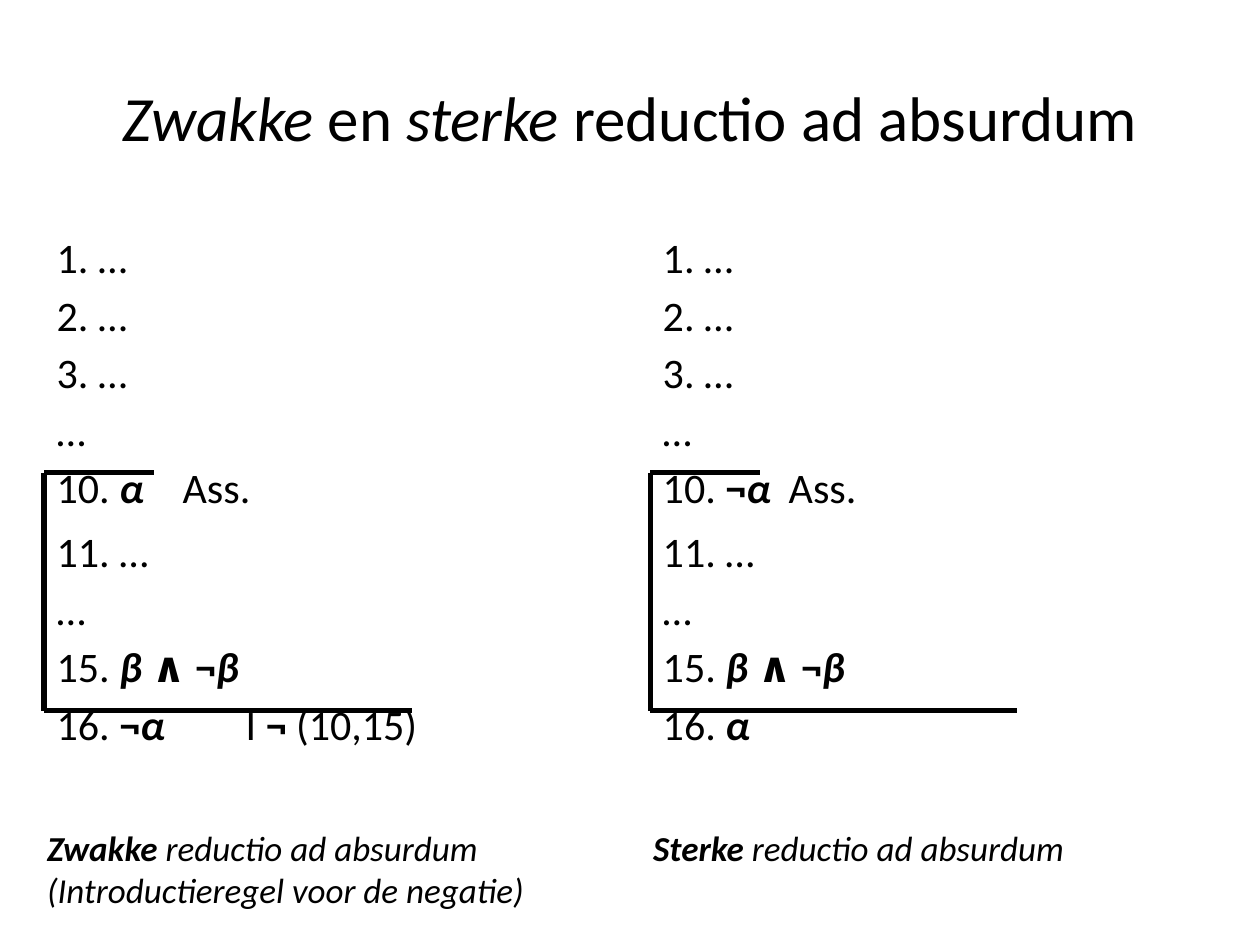
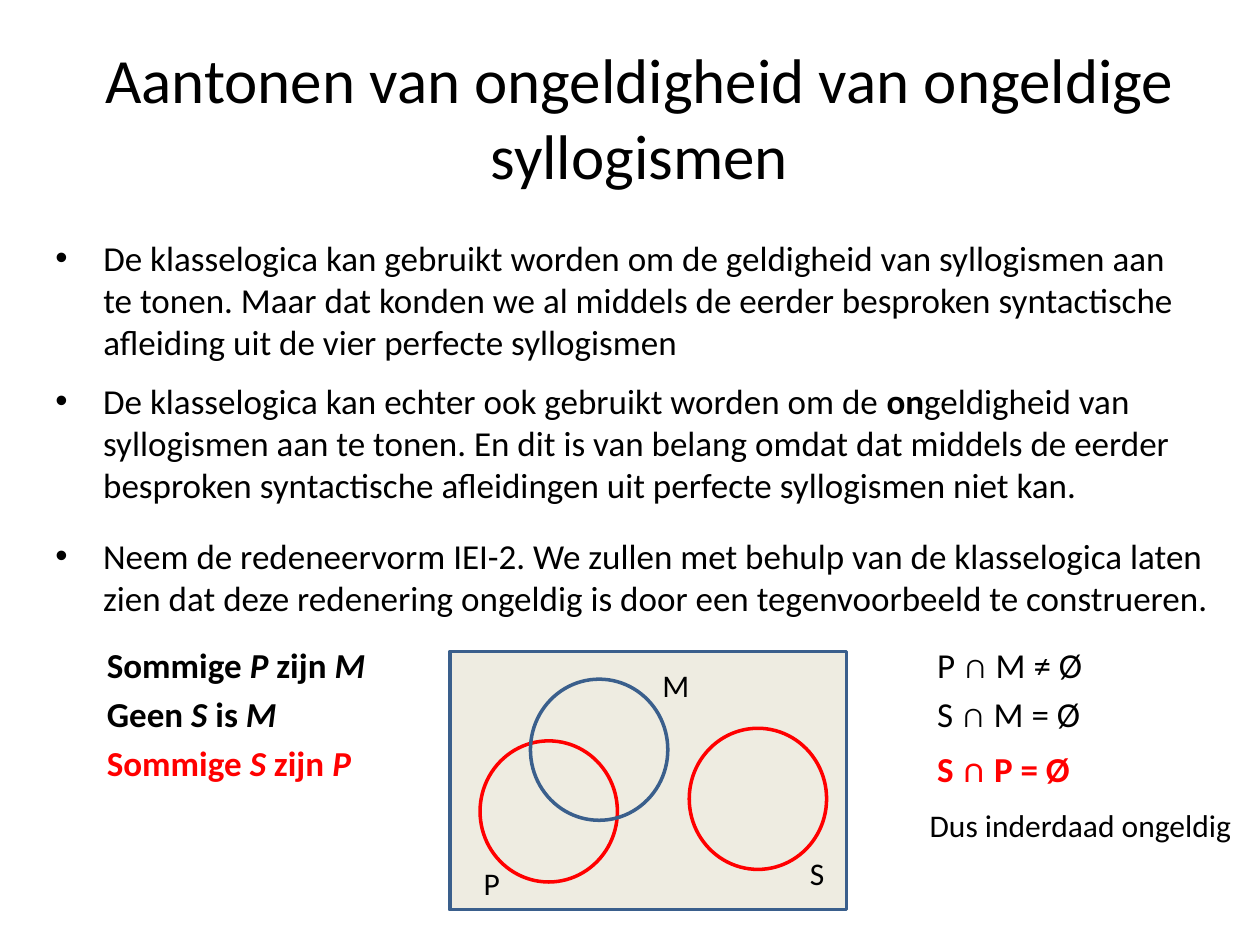
"""Build two logic slides: reductio ad absurdum and invalid syllogisms."""
from dataclasses import dataclass

from lxml.etree import SubElement
from pptx import Presentation
from pptx.dml.color import RGBColor
from pptx.enum.shapes import MSO_CONNECTOR as Connector, MSO_SHAPE as Shape
from pptx.enum.text import MSO_ANCHOR as Anchor, MSO_AUTO_SIZE as AutoSize, PP_ALIGN as Align
from pptx.oxml.ns import qn
from pptx.util import Inches, Pt


@dataclass(frozen=True)
class Theme:
    font: str = "Calibri"
    ink: RGBColor = RGBColor(0, 0, 0)
    red: RGBColor = RGBColor(0xFF, 0, 0)
    blue: RGBColor = RGBColor(0x3A, 0x5F, 0x8C)
    sand: RGBColor = RGBColor(0xEE, 0xEC, 0xE1)
    title: int = 36
    proof: int = 24
    body: int = 20
    label: int = 18
    gap: int = 4
    rule: int = 3
    outline: int = 2


theme = Theme()
deck = Presentation()
deck.slide_width, deck.slide_height = Inches(10), Inches(7.5)
COL, ROW = deck.slide_width / 100, deck.slide_height / 75


def cells(left, top, width, height):
    """Turn columns and rows of the 100 by 75 grid into lengths."""
    return [round(left * COL), round(top * ROW), round(width * COL), round(height * ROW)]


def write(frame, lines, size, gap=0, margin=0, hanging=0, bullet=False, tab=0, align=None):
    """Write lines of (text, style) runs; b is bold, i italic, r red, n a line break."""
    frame.word_wrap, frame.auto_size = True, AutoSize.NONE
    for number, line in enumerate(lines):
        paragraph = frame.paragraphs[0] if number == 0 else frame.add_paragraph()
        paragraph.alignment = align
        paragraph.space_before = Pt(gap)
        props = paragraph._p.get_or_add_pPr()
        props.set("marL", str(round(margin * COL)))
        props.set("indent", str(round(-hanging * COL)))
        if bullet:
            SubElement(props, qn("a:buFont"), typeface="Arial")
            SubElement(props, qn("a:buChar"), char="•")
        else:
            SubElement(props, qn("a:buNone"))
        if tab and any("\t" in text for text, _ in line):
            stops = SubElement(props, qn("a:tabLst"))
            for stop in (tab, tab + 4.3):
                SubElement(stops, qn("a:tab"), pos=str(round(stop * COL)), algn="l")
        for text, style in line:
            if "n" in style:
                paragraph.add_line_break()
            run = paragraph.add_run()
            run.text = text
            run.font.name, run.font.size = theme.font, Pt(size)
            run.font.bold, run.font.italic = "b" in style, "i" in style
            run.font.color.rgb = theme.red if "r" in style else theme.ink


titles = [
    (3, 90, [("Zwakke", "i"), (" en ", ""), ("sterke ", "i"), ("reductio ad absurdum", "")]),
    (1, 91.5, [("Aantonen van ongeldigheid van ongeldige syllogismen", "")]),
]
slides = []
for layout, width, heading in titles:
    slide = deck.slides.add_slide(deck.slide_layouts[layout])
    title = slide.shapes.title
    title.left, title.top, title.width, title.height = cells(5, 3, width, 12.5)
    title.text_frame.vertical_anchor = Anchor.MIDDLE
    write(title.text_frame, [heading], theme.title, align=Align.CENTER)
    slides.append(slide)
reductio, syllogism = slides

opening = [[("1. …", "")], [("2. …", "")], [("3. …", "")], [("…", "")]]
contradiction = [
    [("11. …", "")],
    [("…", "")],
    [("15. ", ""), ("β ", "bi"), ("∧ ¬", "b"), ("β", "bi")],
]
proofs = [
    (1, 3.5, 11.2, 29.2,
     [("10. ", ""), ("α", "bi"), ("\tAss.", "")],
     [("16. ", ""), ("¬", "b"), ("α", "bi"), ("\t\tI ", ""), ("¬", "b"), (" (10,15)", "")],
     [[("Zwakke ", "bi"), ("reductio ad absurdum", "i")],
      [("(Introductieregel voor de negatie)", "i")]]),
    (2, 51.6, 12.7, 29.1,
     [("10. ", ""), ("¬", "b"), ("α", "bi"), ("\tAss.", "")],
     [("16. ", ""), ("α", "bi")],
     [[("Sterke ", "bi"), ("reductio ad absurdum", "i")]]),
]
ASSUMED, CONCLUDED = 37.5, 56.4
for index, left, tab, reach, assumption, conclusion, caption in proofs:
    proof = reductio.placeholders[index]
    proof.left, proof.top, proof.width, proof.height = cells(left, 17.9, 48, 49.5)
    write(proof.text_frame, opening + [assumption] + contradiction + [conclusion],
          theme.proof, theme.gap, tab=tab)
    proof.text_frame.paragraphs[5].space_before = Pt(2 * theme.gap)
    for x1, y1, x2, y2 in [
        (left + 8.7, ASSUMED, left, ASSUMED),
        (left, ASSUMED, left, CONCLUDED),
        (left + reach, CONCLUDED, left, CONCLUDED),
    ]:
        bracket = reductio.shapes.add_connector(Connector.STRAIGHT, *cells(x1, y1, x2, y2))
        bracket.line.color.rgb, bracket.line.width = theme.ink, Pt(theme.rule)
        SubElement(bracket._element.spPr, qn("a:effectLst"))
    note = reductio.shapes.add_textbox(*cells(left - 0.75, 65.1, 40.2, 0.6 + 3.4 * len(caption)))
    write(note.text_frame, caption, theme.body)

points = [
    (18.3, 12.1, [
        ("De klasselogica kan gebruikt worden om de geldigheid van syllogismen aan", ""),
        ("te tonen. Maar dat konden we al middels de eerder besproken syntactische "
         "afleiding uit de vier perfecte syllogismen", "n")]),
    (29.6, 12.1, [
        ("De klasselogica kan echter ook gebruikt worden om de ", ""), ("on", "b"),
        ("geldigheid van syllogismen aan te tonen. En dit is van belang omdat dat middels de "
         "eerder besproken syntactische afleidingen uit perfecte syllogismen niet kan.", "")]),
    (41.9, 5, [
        ("Neem de redeneervorm IEI-2. We zullen met behulp van de klasselogica laten zien dat "
         "deze redenering ongeldig is door een tegenvoorbeeld te construeren.", "")]),
]
for number, (top, height, point) in enumerate(points):
    area = cells(3.4, top, 97.8, height)
    if number == 0:
        item = syllogism.placeholders[1]
        item.left, item.top, item.width, item.height = area
    else:
        item = syllogism.shapes.add_textbox(*area)
    write(item.text_frame, [point], theme.body, theme.gap, 3.8, 3.8, bullet=True)

premises = syllogism.shapes.add_textbox(*cells(7.5, 50.6, 23.6, 13.7))
write(premises.text_frame, [
    [("Sommige ", "b"), ("P", "bi"), (" zijn ", "b"), ("M", "bi")],
    [("Geen ", "b"), ("S", "bi"), (" is ", "b"), ("M", "bi")],
    [("Sommige ", "br"), ("S", "bir"), (" zijn ", "br"), ("P", "bir")],
], theme.body, theme.gap, 3.8, 3.8)

venn = [
    (Shape.RECTANGLE, 35.7, 51.7, 31.5, 20.5, theme.blue),
    (Shape.OVAL, 38.1, 58.8, 10.9, 11.2, theme.red),
    (Shape.OVAL, 42.1, 53.9, 10.9, 11.2, theme.blue),
    (Shape.OVAL, 54.7, 57.8, 10.9, 11.2, theme.red),
]
for kind, left, top, width, height, color in venn:
    region = syllogism.shapes.add_shape(kind, *cells(left, top, width, height))
    region.shadow.inherit = False
    region.line.color.rgb, region.line.width = color, Pt(theme.outline)
    if kind == Shape.RECTANGLE:
        region.fill.solid()
        region.fill.fore_color.rgb = theme.sand
    else:
        region.fill.background()

remarks = [
    ("P", 37.4, 68.1, 8.7), ("M", 51.6, 52.4, 8.7), ("S", 63.3, 67.3, 8.7),
    ("Dus inderdaad ongeldig", 72.8, 63.5, 27.6),
]
for text, left, top, width in remarks:
    remark = syllogism.shapes.add_textbox(*cells(left, top, width, 4))
    write(remark.text_frame, [[(text, "")]], theme.label)

formulas = [("P ∩ M ≠ Ø", "", 50.6), ("S ∩ M = Ø", "", 54.5), ("S ∩ P = Ø", "br", 58.8)]
for text, style, top in formulas:
    formula = syllogism.shapes.add_textbox(*cells(69.6, top, 30.4, 5))
    write(formula.text_frame, [[(text, style)]], theme.body, theme.gap, margin=3.8)

deck.save("out.pptx")
